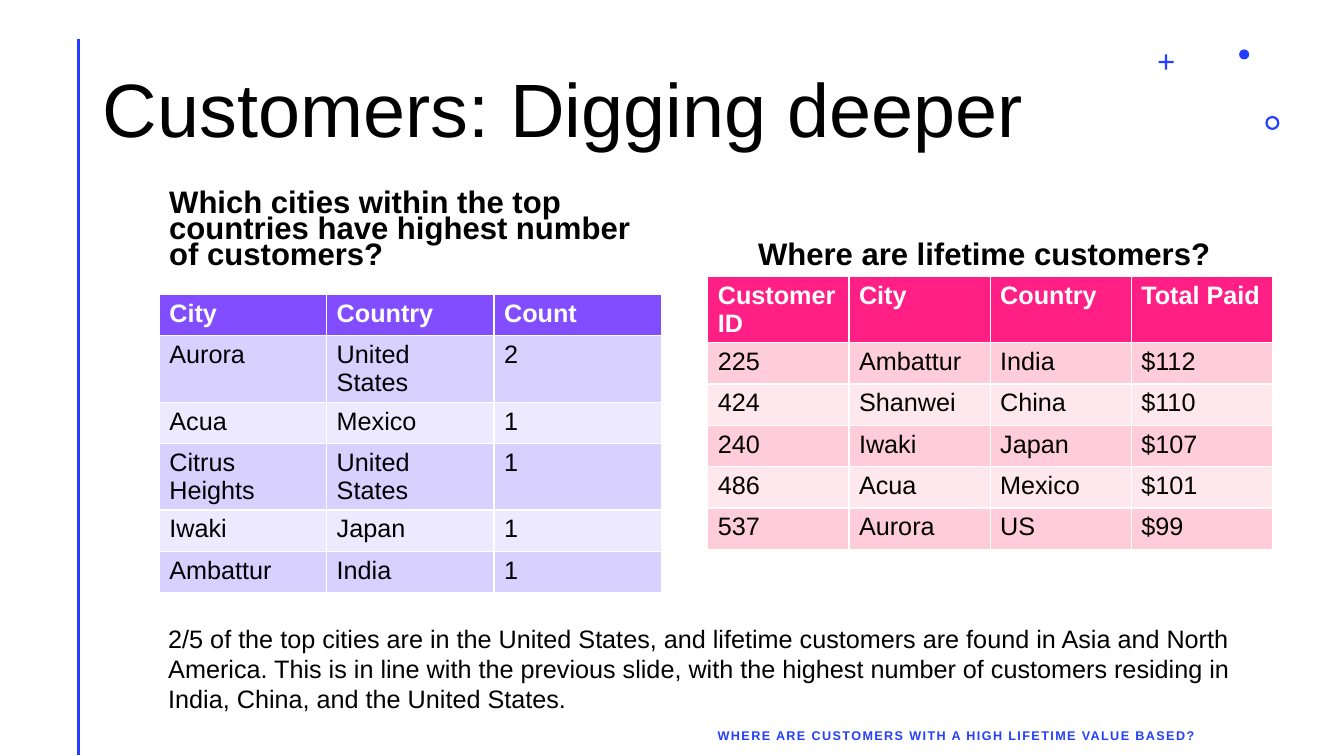
from dataclasses import dataclass

from lxml import etree
from pptx import Presentation
from pptx.dml.color import RGBColor
from pptx.enum.shapes import MSO_CONNECTOR, MSO_SHAPE
from pptx.enum.text import MSO_ANCHOR, MSO_AUTO_SIZE, PP_ALIGN
from pptx.oxml.ns import qn
from pptx.util import Inches, Pt

STRAIGHT = MSO_CONNECTOR.STRAIGHT
CROSS, DONUT, OVAL = MSO_SHAPE.CROSS, MSO_SHAPE.DONUT, MSO_SHAPE.OVAL
TOP, MIDDLE, BOTTOM = MSO_ANCHOR.TOP, MSO_ANCHOR.MIDDLE, MSO_ANCHOR.BOTTOM
LEFT = PP_ALIGN.LEFT
NO_AUTOFIT = MSO_AUTO_SIZE.NONE

FONT = "Arial"
ROW_HEIGHT = 0.41
COLORS = {
    "white": "FFFFFF",
    "black": "000000",
    "blue": "243FFF",
    "violet": "814DFF",
    "violet_band": "D8D0FF",
    "violet_pale": "EDE9FF",
    "pink": "FF1F85",
    "pink_band": "FFCDD9",
    "pink_pale": "FFE8ED",
}


@dataclass
class Ornament:
    preset: MSO_SHAPE
    left: float
    top: float
    size: float
    adjustment: float | None = None


@dataclass
class Heading:
    text: str
    left: float
    width: float


@dataclass
class DataTable:
    left: float
    top: float
    column_width: float
    hue: str
    rows: list[tuple[str, ...]]


ORNAMENTS = [
    Ornament(CROSS, 11.49, 0.54, 0.15, 0.43),
    Ornament(DONUT, 12.55, 1.15, 0.14, 0.16),
    Ornament(OVAL, 12.29, 0.49, 0.1),
]
HEADINGS = [
    Heading("Which cities within the top countries have highest number of customers?", 1.58, 4.98),
    Heading("Where are lifetime customers?", 7.42, 5),
]
TABLES = [
    DataTable(1.58, 2.92, 1.66, "violet", [
        ("City", "Country", "Count"),
        ("Aurora", "United States", "2"),
        ("Acua", "Mexico", "1"),
        ("Citrus Heights", "United States", "1"),
        ("Iwaki", "Japan", "1"),
        ("Ambattur", "India", "1"),
    ]),
    DataTable(7.02, 2.74, 1.4, "pink", [
        ("Customer ID", "City", "Country", "Total Paid"),
        ("225", "Ambattur", "India", "$112"),
        ("424", "Shanwei", "China", "$110"),
        ("240", "Iwaki", "Japan", "$107"),
        ("486", "Acua", "Mexico", "$101"),
        ("537", "Aurora", "US", "$99"),
    ]),
]
SUMMARY = (
    "2/5 of the top cities are in the United States, and lifetime customers are found in "
    "Asia and North America. This is in line with the previous slide, with the highest number "
    "of customers residing in India, China, and the United States."
)


def color(name: str) -> RGBColor:
    return RGBColor.from_string(COLORS[name])


def write(frame, text: str, *, size: float = 18, ink: str = "black", bold: bool = False,
          line_spacing: float = 1.0, before: float = 0, after: float = 0,
          tracking: float = 0) -> None:
    para = frame.paragraphs[0]
    para.alignment = LEFT
    para.line_spacing = line_spacing
    para.space_before, para.space_after = Pt(before), Pt(after)
    span = para.add_run()
    span.text = text
    span.font.name, span.font.size, span.font.bold = FONT, Pt(size), bold
    span.font.color.rgb = color(ink)
    if tracking:
        span._r.get_or_add_rPr().set("spc", str(round(tracking * 100)))


def set_frame(box, anchor: MSO_ANCHOR):
    frame = box.text_frame
    frame.word_wrap = True
    frame.auto_size = NO_AUTOFIT
    frame.vertical_anchor = anchor
    return frame


def add_box(page, left: float, top: float, width: float, height: float, anchor: MSO_ANCHOR):
    box = page.shapes.add_textbox(Inches(left), Inches(top), Inches(width), Inches(height))
    return set_frame(box, anchor)


def add_title(page, text: str) -> None:
    title = page.shapes.title
    title.left, title.top = Inches(0.92), Inches(0.4)
    title.width, title.height = Inches(11.5), Inches(1.45)
    write(set_frame(title, MIDDLE), text, size=54, line_spacing=0.9)


def add_side_rule(page) -> None:
    rule = page.shapes.add_connector(STRAIGHT, Inches(0.78), Inches(0.39), Inches(0.78), Inches(7.49))
    rule.line.color.rgb = color("blue")
    rule.line.width = Pt(2)
    etree.SubElement(rule.element.spPr, qn("a:effectLst"))


def add_ornament(page, ornament: Ornament) -> None:
    side = Inches(ornament.size)
    shape = page.shapes.add_shape(ornament.preset, Inches(ornament.left), Inches(ornament.top), side, side)
    shape.shadow.inherit = False
    shape.fill.solid()
    shape.fill.fore_color.rgb = color("blue")
    shape.line.fill.background()
    if ornament.adjustment is not None:
        shape.adjustments[0] = ornament.adjustment


def add_data_table(page, data: DataTable) -> None:
    row_count, column_count = len(data.rows), len(data.rows[0])
    table = page.shapes.add_table(
        row_count, column_count, Inches(data.left), Inches(data.top),
        Inches(data.column_width * column_count), Inches(ROW_HEIGHT * row_count),
    ).table
    for column in table.columns:
        column.width = Inches(data.column_width)
    for row_index, values in enumerate(data.rows):
        header = row_index == 0
        band = "_band" if row_index % 2 else "_pale"
        for column_index, value in enumerate(values):
            cell = table.cell(row_index, column_index)
            cell.fill.solid()
            cell.fill.fore_color.rgb = color(data.hue if header else data.hue + band)
            write(cell.text_frame, value, ink="white" if header else "black", bold=header)


def main() -> None:
    deck = Presentation()
    deck.slide_width, deck.slide_height = Inches(13.33), Inches(7.5)
    page = deck.slides.add_slide(deck.slide_layouts[5])
    page.background.fill.solid()
    page.background.fill.fore_color.rgb = color("white")

    add_side_rule(page)
    for ornament in ORNAMENTS:
        add_ornament(page, ornament)
    add_title(page, "Customers: Digging deeper")
    for heading in HEADINGS:
        frame = add_box(page, heading.left, 1.84, heading.width, 0.9, BOTTOM)
        write(frame, heading.text, size=22.2, bold=True, line_spacing=0.7, before=10)
    for data in TABLES:
        add_data_table(page, data)
    write(add_box(page, 7.02, 7.11, 4.95, 0.4, MIDDLE),
          "WHERE ARE CUSTOMERS WITH A HIGH LIFETIME VALUE BASED?",
          size=9, ink="blue", bold=True, line_spacing=0.9, after=6, tracking=1)
    write(add_box(page, 1.57, 6.13, 10.85, 1.01, TOP), SUMMARY)
    deck.save("out.pptx")


if __name__ == "__main__":
    main()
